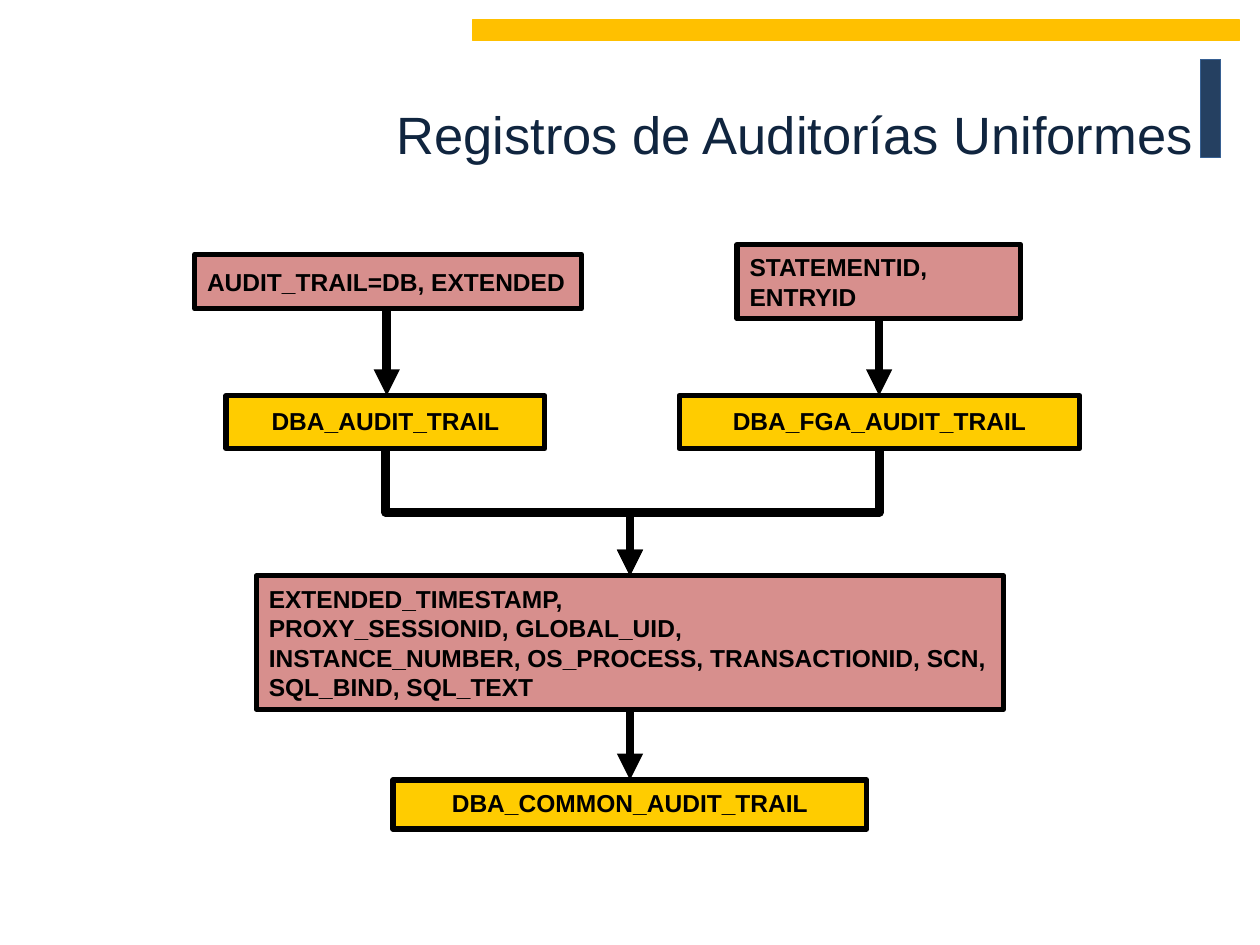
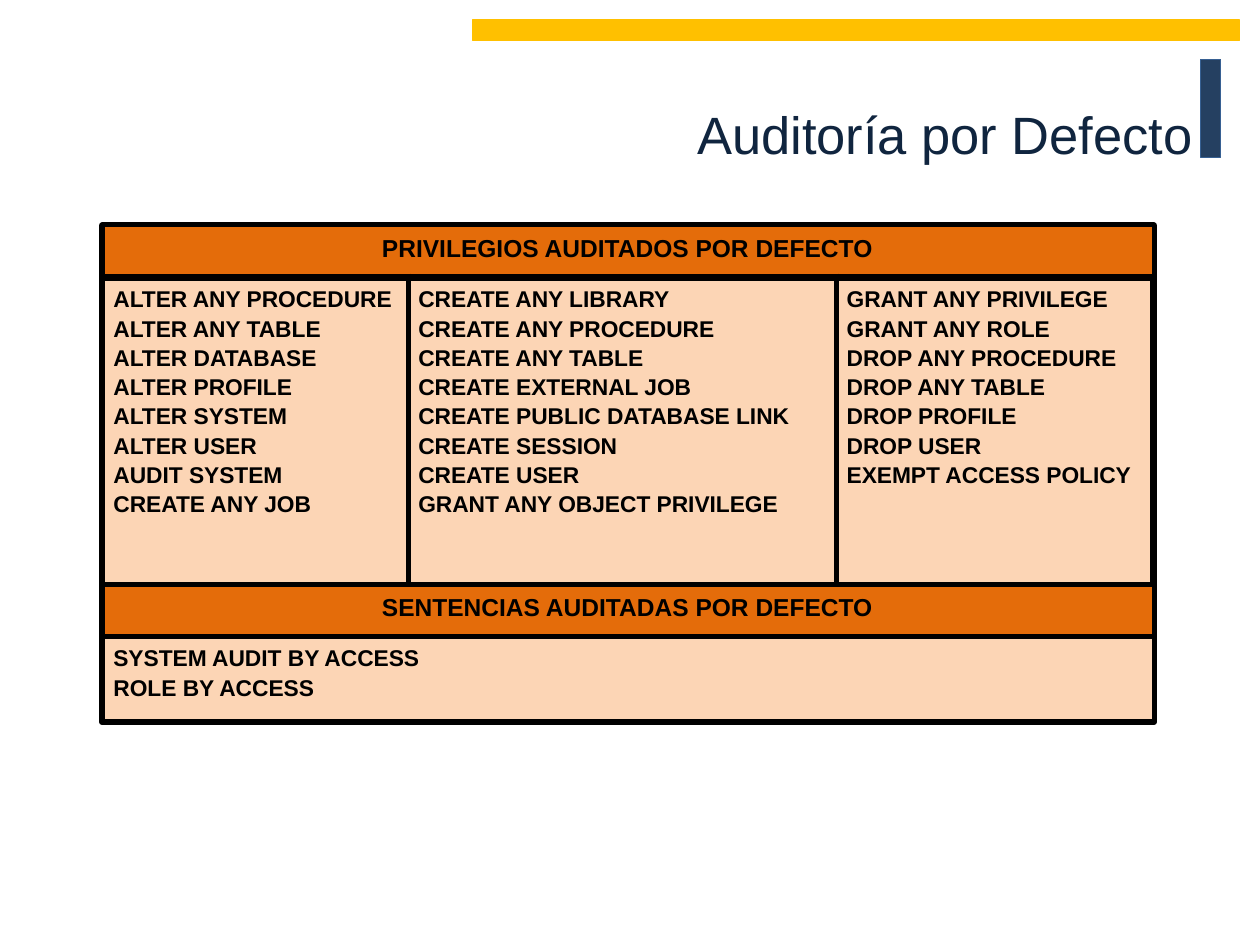
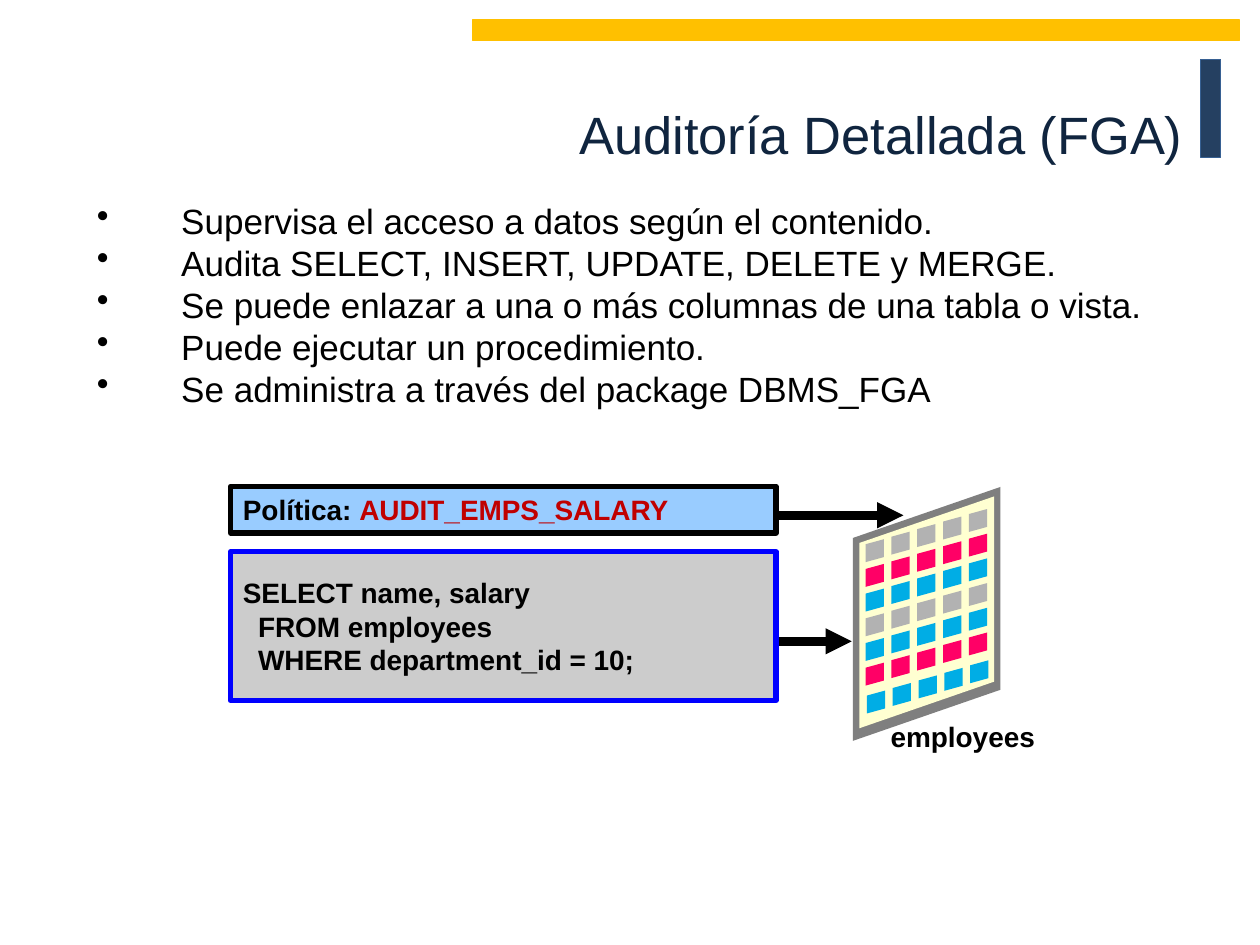
from pptx import Presentation, util as u
from pptx.dml.color import RGBColor
from pptx.enum import shapes as sh, text as tx
from pptx.oxml import ns
from lxml import etree

# The slide is a grid of 100 columns by 75 rows; all places are in its units.
COLS, ROWS = 100, 75
WIDE, HIGH = u.Inches(10), u.Inches(7.5)
FONT = "Arial"
PLAIN = "{2D5ABB26-0587-4C30-8999-92F81FD0307C}"  # table style without grid

HUE = {
    "ink": "000000", "title": "10253F", "navy": "254061", "edge": "376092",
    "gold": "FFC000", "view": "FFCC00", "field": "D78F8D", "head": "E46C0A",
    "body": "FCD5B5", "sky": "99CCFF", "ash": "CCCCCC", "blue": "0000FF",
    "red": "C00000", "frame": "7F7F7F", "cream": "FFFFD1", "gray": "B2B2B2",
    "pink": "FF0066", "cyan": "00ADE5",
}

BANDS = [  # place, fill, line
    ((95.3, 4.7, 1.6, 7.8), "navy", "edge"),
    ((37.5, 1.6, 60.9, 1.6), "gold", "gold"),
]
TITLE = (9.1, 2.6, 86.6, 16)

# Slide 1: name -> (fill, centre column, top, width, height, text)
NODES = {
    "db": ("field", 30.8, 20.2, 30.7, 4.3, "AUDIT_TRAIL=DB, EXTENDED"),
    "ids": ("field", 69.75, 19.4, 22.5, 5.9, "STATEMENTID,\nENTRYID"),
    "std": ("view", 30.6, 31.4, 25.3, 4.2, "DBA_AUDIT_TRAIL"),
    "fga": ("view", 69.8, 31.4, 31.8, 4.2, "DBA_FGA_AUDIT_TRAIL"),
    "all": ("field", 50, 45.7, 59.3, 10.6,
            "EXTENDED_TIMESTAMP,\nPROXY_SESSIONID, GLOBAL_UID,\n"
            "INSTANCE_NUMBER, OS_PROCESS, TRANSACTIONID, SCN, "
            "SQL_BIND, SQL_TEXT"),
    "common": ("view", 50, 61.9, 37.6, 3.9, "DBA_COMMON_AUDIT_TRAIL"),
}
LINKS = [("db", "std"), ("ids", "fga"), ("all", "common")]
JOINS = [("std", "all"), ("fga", "all")]

# Slide 2: (height, top border, bottom border, cells); one cell spans the row
GRID = [
    (4.1, 2.25, 4.5, ["PRIVILEGIOS AUDITADOS POR DEFECTO"]),
    (24.4, 4.5, 3, [
        "ALTER ANY PROCEDURE\nALTER ANY TABLE\nALTER DATABASE\n"
        "ALTER PROFILE\nALTER SYSTEM\nALTER USER\nAUDIT SYSTEM\n"
        "CREATE ANY JOB",
        "CREATE ANY LIBRARY\nCREATE ANY PROCEDURE\nCREATE ANY TABLE\n"
        "CREATE EXTERNAL JOB\nCREATE PUBLIC DATABASE LINK\n"
        "CREATE SESSION\nCREATE USER\nGRANT ANY OBJECT PRIVILEGE",
        "GRANT ANY PRIVILEGE\nGRANT ANY ROLE\nDROP ANY PROCEDURE\n"
        "DROP ANY TABLE\nDROP PROFILE\nDROP USER\nEXEMPT ACCESS POLICY"]),
    (4.1, 3, 3, ["SENTENCIAS AUDITADAS POR DEFECTO"]),
    (6.7, 3, 2.25, ["SYSTEM AUDIT BY ACCESS\nROLE BY ACCESS"]),
]
HEADS = (0, 2)
SPANS = [24.2, 34, 25]

# Slide 3
POINTS = [
    "Supervisa el acceso a datos según el contenido.",
    "Audita SELECT, INSERT, UPDATE, DELETE y MERGE.",
    "Se puede enlazar a una o más columnas de una tabla o vista.",
    "Puede ejecutar un procedimiento.",
    "Se administra a través del package DBMS_FGA",
]
POLICY = ("Política: ", "AUDIT_EMPS_SALARY")
QUERY = "SELECT name, salary\nFROM employees\nWHERE department_id = 10;"
SHEET = [  # fill, left, right, left top, height, rise
    ("frame", 67.7, 79.4, 42.7, 16.1, 4.05),
    ("cream", 68.2, 78.9, 43.1, 14.7, 3.7),
]
TILES = ["gray", "pink", "cyan", "gray", "cyan", "pink", "cyan"]


def gx(n):
    """Turn grid columns into a length."""
    return u.Emu(round(n * WIDE / COLS))


def gy(n):
    """Turn grid rows into a length."""
    return u.Emu(round(n * HIGH / ROWS))


def area(at):
    """Turn a place on the grid into left, top, width, height."""
    return gx(at[0]), gy(at[1]), gx(at[2]), gy(at[3])


def rgb(name):
    """Look up a colour by name."""
    return RGBColor.from_string(HUE[name])


def style(frame, size, hue="ink", bold=False, align=None, lead=None, gap=None):
    """Format all paragraphs and runs of a text frame."""
    for para in frame.paragraphs:
        para.alignment = align
        para.line_spacing = lead
        if gap is not None:
            para.space_before = u.Pt(gap)
        for run in para.runs:
            font = run.font
            font.name, font.size, font.bold = FONT, u.Pt(size), bold
            font.color.rgb = rgb(hue)


def inset(frame, side, end):
    """Set the inner margins of a text frame, in inches."""
    frame.margin_left = frame.margin_right = u.Inches(side)
    frame.margin_top = frame.margin_bottom = u.Inches(end)


def box(slide, at, fill=None, line="ink", width=3.0):
    """Add a rectangle."""
    rect = slide.shapes.add_shape(sh.MSO_SHAPE.RECTANGLE, *area(at))
    rect.shadow.inherit = False
    if fill:
        rect.fill.solid()
        rect.fill.fore_color.rgb = rgb(fill)
    else:
        rect.fill.background()
    rect.line.color.rgb = rgb(line)
    rect.line.width = u.Pt(width)
    frame = rect.text_frame
    frame.word_wrap = True
    frame.vertical_anchor = tx.MSO_ANCHOR.MIDDLE
    return rect


def arrow(slide, x1, y1, x2, y2, kind=sh.MSO_CONNECTOR.STRAIGHT):
    """Add a thick black arrow."""
    link = slide.shapes.add_connector(kind, gx(x1), gy(y1), gx(x2), gy(y2))
    link.line.color.rgb = rgb("ink")
    link.line.width = u.Pt(5)
    props = link.element.spPr
    tip = etree.SubElement(props.find(ns.qn("a:ln")), ns.qn("a:tailEnd"))
    tip.set("type", "triangle")
    etree.SubElement(props, ns.qn("a:effectLst"))
    return link


def elbow(slide, x1, y1, x2, y2):
    """Add an arrow that goes down, across and down: a turned elbow."""
    mx, my = (x1 + x2) / 2, (y1 + y2) / 2
    hw, hh = (y2 - y1) / 2, abs(x2 - x1) / 2
    east = x2 > x1
    if east:
        hw = -hw
    link = arrow(slide, mx - hw, my - hh, mx + hw, my + hh,
                 sh.MSO_CONNECTOR.ELBOW)
    turn = 270 if east else 90
    link.element.spPr.find(ns.qn("a:xfrm")).set("rot", str(turn * 60000))


def start(deck, title, at=TITLE):
    """Add a slide with its title."""
    slide = deck.slides.add_slide(deck.slide_layouts[5])
    head = slide.shapes.title
    head.left, head.top, head.width, head.height = area(at)
    frame = head.text_frame
    frame.text = title
    frame.word_wrap = True
    frame.auto_size = tx.MSO_AUTO_SIZE.NONE
    frame.vertical_anchor = tx.MSO_ANCHOR.MIDDLE
    style(frame, 30, "title", align=tx.PP_ALIGN.RIGHT)
    return slide


def share(deck, slide):
    """Draw the bands and move them to the layout all slides use."""
    home = deck.slide_layouts[5].shapes.element
    for at, fill, line in BANDS:
        home.append(box(slide, at, fill, line, 0.75).element)


def flow(slide):
    """Draw the chart of audit views and their fields."""
    def ends(pair):
        """Give the bottom of one node and the top of the next."""
        a, b = (NODES[name] for name in pair)
        return a[1], a[2] + a[4], b[1], b[2]

    for pair in LINKS:
        x1, y1, x2, y2 = ends(pair)
        mid = (x1 + x2) / 2
        arrow(slide, mid, y1, mid, y2)
    for pair in JOINS:
        elbow(slide, *ends(pair))
    for fill, mid, top, wide, high, words in NODES.values():
        frame = box(slide, (mid - wide / 2, top, wide, high), fill).text_frame
        frame.text = words
        if fill == "view":
            inset(frame, 0.05, 0.05)
            style(frame, 14, bold=True, align=tx.PP_ALIGN.CENTER, lead=0.95)
        else:
            inset(frame, 0.1, 0.01)
            style(frame, 14, bold=True, align=tx.PP_ALIGN.LEFT)


def border(cell, sides):
    """Set cell borders from (side, width) pairs in the order L, R, T, B."""
    props = cell._tc.get_or_add_tcPr()
    for spot, (side, width) in enumerate(sides):
        line = etree.Element(ns.qn("a:ln" + side), w=str(u.Pt(width)))
        fill = etree.SubElement(line, ns.qn("a:solidFill"))
        etree.SubElement(fill, ns.qn("a:srgbClr"), val=HUE["ink"])
        props.insert(spot, line)


def grid(slide):
    """Draw the table of audited privileges and statements."""
    box(slide, (8.1, 17.9, 83.5, 39.4), width=3.5)
    high = sum(row[0] for row in GRID)
    place = area((8.2, 17.9, sum(SPANS), high))
    holder = slide.shapes.add_table(len(GRID), len(SPANS), *place)
    table = holder.table
    table.first_row = table.horz_banding = False
    for node in holder.element.iter(ns.qn("a:tableStyleId")):
        node.text = PLAIN
    for c, wide in enumerate(SPANS):
        table.columns[c].width = gx(wide)
    last = len(SPANS) - 1
    for r, (tall, top, low, cells) in enumerate(GRID):
        table.rows[r].height = gy(tall)
        whole, head = len(cells) == 1, r in HEADS
        if whole:
            table.cell(r, 0).merge(table.cell(r, last))
        for c in range(len(SPANS)):
            cell = table.cell(r, c)
            cell.fill.solid()
            cell.fill.fore_color.rgb = rgb("head" if head else "body")
            sides = [("T", top), ("B", low)]
            if c == last or not whole:
                sides.insert(0, ("R", 2.25 if c == last else 3))
            if c == 0 or not whole:
                sides.insert(0, ("L", 2.25 if c == 0 else 3))
            border(cell, sides)
            inset(cell, 0.08, 0.08)
            if c < len(cells):
                cell.text_frame.text = cells[c]
                style(cell.text_frame, 14 if head else 13, bold=True,
                      align=tx.PP_ALIGN.CENTER if head else tx.PP_ALIGN.LEFT,
                      gap=2.2)


def points(slide):
    """Write the bullet list."""
    frame = slide.shapes.add_textbox(*area((6.7, 16, 87.4, 21.1))).text_frame
    frame.word_wrap = True
    frame.text = "\n".join(POINTS)
    style(frame, 20, align=tx.PP_ALIGN.JUSTIFY, lead=0.8, gap=4.7)
    for para in frame.paragraphs:
        props = para._p.get_or_add_pPr()
        props.set("marL", str(gx(6.7)))
        props.set("indent", str(-gx(6.7)))
        etree.SubElement(props, ns.qn("a:buChar"), char="•")


def slant(group, fill, left, right, top, high, rise):
    """Add a tile with upright sides whose right side is raised."""
    pen = group.shapes.build_freeform(gx(left), gy(top), scale=1.0)
    pen.add_line_segments([
        (gx(right), gy(top - rise)), (gx(right), gy(top + high - rise)),
        (gx(left), gy(top + high))], close=True)
    tile = pen.convert_to_shape()
    tile.shadow.inherit = False
    tile.fill.solid()
    tile.fill.fore_color.rgb = rgb(fill)
    tile.line.fill.background()


def sheet(slide):
    """Draw the slanted table of employees with its name."""
    group = slide.shapes.add_group_shape()
    for part in SHEET:
        slant(group, *part)
    for r, fill in enumerate(TILES):
        low = r == len(TILES) - 1
        for c in range(5):
            left = 68.7 + 2.05 * c + 0.1 * low
            top = 43.2 + 1.96 * r - 0.6 * c + 0.25 * low
            slant(group, fill, left, left + 1.45, top, 1.42, 0.4)
    name = slide.shapes.add_textbox(*area((69.7, 56.6, 13.6, 3.7)))
    name.text_frame.word_wrap = False
    name.text_frame.text = "employees"
    style(name.text_frame, 16, bold=True)


def policy(slide):
    """Draw the policy and the query that lead to the table."""
    frame = box(slide, (18.3, 38.6, 43.3, 3.7), "sky").text_frame
    frame.text = POLICY[0]
    frame.paragraphs[0].add_run().text = POLICY[1]
    style(frame, 16, bold=True, align=tx.PP_ALIGN.LEFT)
    frame.paragraphs[0].runs[1].font.color.rgb = rgb("red")
    frame = box(slide, (18.3, 43.8, 43.3, 11.8), "ash", "blue").text_frame
    frame.text = QUERY
    style(frame, 16, bold=True, align=tx.PP_ALIGN.LEFT)
    for para in frame.paragraphs[1:]:
        para._p.get_or_add_pPr().set("marL", str(gx(1.2)))


def main():
    """Build the deck."""
    deck = Presentation()
    deck.slide_width, deck.slide_height = WIDE, HIGH

    slide = start(deck, "Registros de Auditorías Uniformes")
    share(deck, slide)
    flow(slide)

    grid(start(deck, "Auditoría por Defecto"))

    slide = start(deck, "Auditoría Detallada (FGA)", (6.7, 2.6, 88.2, 16))
    points(slide)
    arrow(slide, 61.1, 50.9, 67.6, 50.9)
    arrow(slide, 61.7, 40.9, 71.7, 40.9)
    sheet(slide)
    policy(slide)

    deck.save("out.pptx")


main()
